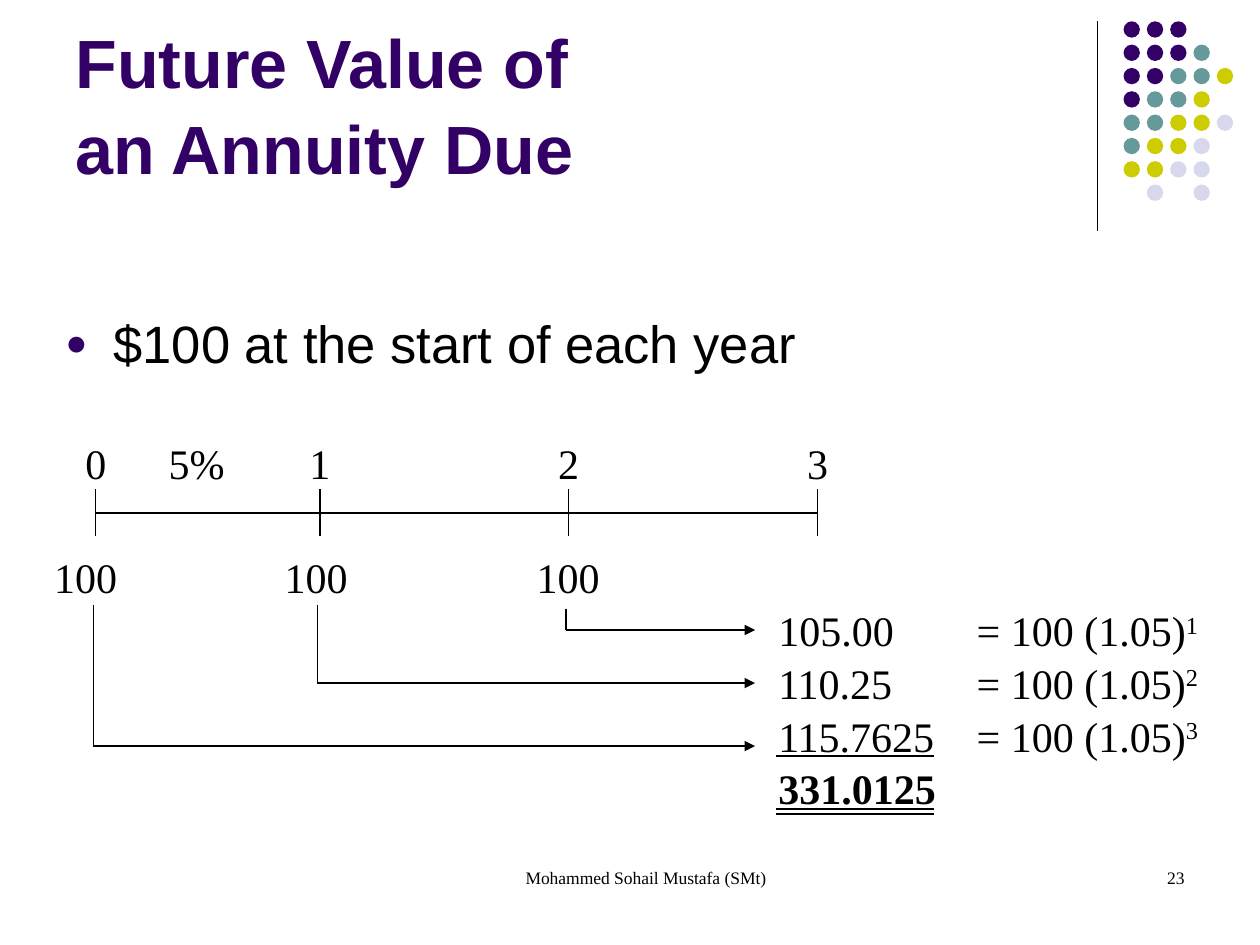
from dataclasses import dataclass
from lxml.etree import SubElement
from pptx import Presentation
from pptx.dml.color import RGBColor as Rgb
from pptx.enum.shapes import MSO_CONNECTOR as Link, MSO_SHAPE as Form
from pptx.enum.text import MSO_ANCHOR as Anchor, MSO_AUTO_SIZE as Fit, PP_ALIGN as Align
from pptx.oxml.ns import qn
from pptx.util import Cm, Pt

SERIF, SANS = "Times New Roman", "Arial"
BLACK, PURPLE = "000000", "330066"
HUES = {"P": PURPLE, "T": "669999", "Y": "CCCC00", "L": "D8D8EC"}
DOTS = ["PPP", "PPPT", "PPTTY", "PTTY", "TTYYL", "TYYL", "YYLL", " L L"]
TICKS = [1.93, 6.45, 11.46, 16.48]


@dataclass
class Label:
    text: str
    left: float
    top: float
    width: float
    size: float = 24
    font: str = SERIF
    bold: bool = False
    before: float = 15
    align: Align = Align.LEFT


@dataclass
class Payment:
    tick: float
    left: float
    start: float
    end: float


@dataclass
class Result:
    value: str
    power: str


PAYMENTS = [
    Payment(TICKS[2], 10.57, 12.27, 12.7),
    Payment(TICKS[1], 5.49, 12.19, 13.77),
    Payment(TICKS[0], 0.84, 12.19, 15.04),
]
RESULTS = [Result("105.00", "1"), Result("110.25", "2"), Result("115.7625", "3")]


def paint(target, color: str) -> None:
    target.rgb = Rgb.from_string(color)


def style(run, size: float, font: str, color: str, bold: bool = False) -> None:
    run.font.size = Pt(size)
    run.font.name = font
    run.font.bold = bold
    paint(run.font.color, color)


def write(slide, label: Label):
    box = slide.shapes.add_textbox(Cm(label.left), Cm(label.top), Cm(label.width), Cm(1.27))
    frame = box.text_frame
    frame.word_wrap = True
    frame.text = label.text
    para = frame.paragraphs[0]
    para.alignment = label.align
    para.space_before = Pt(label.before)
    style(para.runs[0], label.size, label.font, BLACK, label.bold)
    return para


def indent(para, left: float, first: float = 0) -> None:
    props = para._p.get_or_add_pPr()
    props.set("marL", str(Cm(left)))
    props.set("indent", str(Cm(first)))


def bullet(para) -> None:
    props = para._p.get_or_add_pPr()
    color = SubElement(props, qn("a:buClr"))
    SubElement(color, qn("a:srgbClr"), val=PURPLE)
    SubElement(props, qn("a:buSzPct"), val="70000")
    SubElement(props, qn("a:buFont"), typeface=SANS)
    SubElement(props, qn("a:buChar"), char="●")


def rule(slide, x1: float, y1: float, x2: float, y2: float, arrow: bool = False) -> None:
    line = slide.shapes.add_connector(Link.STRAIGHT, Cm(x1), Cm(y1), Cm(x2), Cm(y2))
    line.line.width = Pt(0.75)
    paint(line.line.color, BLACK)
    if arrow:
        SubElement(line.line._get_or_add_ln(), qn("a:tailEnd"), type="triangle")
    SubElement(line._element.spPr, qn("a:effectLst"))


def dot(slide, row: int, col: int, color: str) -> None:
    pitch = 0.47
    left, top = 22.65 + col * pitch, 0.43 + row * pitch
    shape = slide.shapes.add_shape(Form.OVAL, Cm(left), Cm(top), Cm(0.33), Cm(0.33))
    shape.shadow.inherit = False
    shape.fill.solid()
    paint(shape.fill.fore_color, color)
    shape.line.fill.background()


def heading(slide) -> None:
    title = slide.shapes.title
    title.left, title.top, title.width, title.height = Cm(1.27), Cm(0.33), Cm(20.96), Cm(3.6)
    frame = title.text_frame
    frame.text = "Future Value of\van Annuity Due"
    frame.auto_size = Fit.NONE
    frame.vertical_anchor = Anchor.BOTTOM
    para = frame.paragraphs[0]
    para.alignment = Align.LEFT
    para.line_spacing = 1.05
    for run in para.runs:
        style(run, 39, SANS, PURPLE, True)


def timeline(slide) -> None:
    rule(slide, TICKS[0], 10.34, TICKS[-1], 10.34)
    for year, tick in enumerate(TICKS):
        rule(slide, tick, 9.86, tick, 10.8)
        write(slide, Label(str(year), tick - 0.46, 8.69, 1.19))
    write(slide, Label("5%", 3.15, 8.69, 1.7))


def flow(slide, pay: Payment) -> None:
    write(slide, Label("100", pay.left, 11, 2.11))
    drop = pay.tick - 0.05
    rule(slide, drop, pay.start, drop, pay.end)
    rule(slide, drop, pay.end, 15.22, pay.end, arrow=True)


def total(slide) -> None:
    left, top, step = 15.44, 12.07, 1.06
    for row, result in enumerate(RESULTS):
        text = f"{result.value}\t= 100 (1.05)"
        para = write(slide, Label(text, left, top + row * step, 9.9))
        tabs = SubElement(para._p.get_or_add_pPr(), qn("a:tabLst"))
        SubElement(tabs, qn("a:tab"), pos=str(Cm(4)), algn="l")
        power = para.add_run()
        power.text = result.power
        style(power, 24, SERIF, BLACK)
        power._r.get_or_add_rPr().set("baseline", "30000")
    write(slide, Label("331.0125", left, top + len(RESULTS) * step, 9.9, bold=True))
    for y in (15.24, 16.31, 16.41):
        rule(slide, 15.65, y, 18.82, y)


def main() -> None:
    deck = Presentation()
    deck.slide_width, deck.slide_height = Cm(25.4), Cm(19.05)
    slide = deck.slides.add_slide(deck.slide_layouts[5])
    heading(slide)
    rule(slide, 22.12, 0.43, 22.12, 4.65)
    for row, line in enumerate(DOTS):
        for col, key in enumerate(line):
            if key in HUES:
                dot(slide, row, col, HUES[key])
    lead = Label("$100 at the start of each year", 1.07, 6.15, 23.29, 30, SANS, before=7.5)
    para = write(slide, lead)
    indent(para, 0.97, -0.97)
    bullet(para)
    timeline(slide)
    for pay in PAYMENTS:
        flow(slide, pay)
    total(slide)
    for label in (
        Label("Mohammed Sohail Mustafa (SMt)", 8.69, 17.35, 8.05, 10, before=0, align=Align.CENTER),
        Label("23", 18.21, 17.35, 5.92, 10, before=0, align=Align.RIGHT),
    ):
        indent(write(slide, label), 0.61)
    deck.save("out.pptx")


if __name__ == "__main__":
    main()
